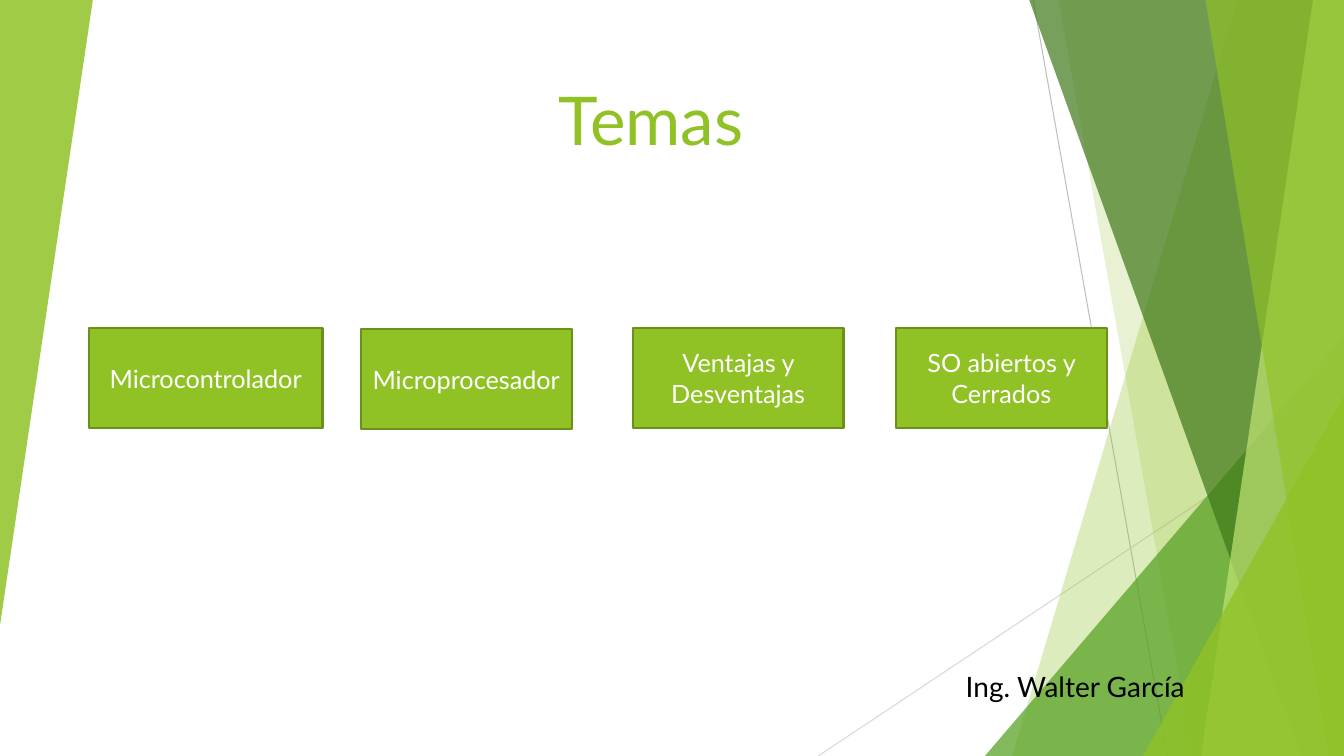
"""Build the "Temas" slide: green facets, a title, four topic boxes and an author."""
from dataclasses import dataclass

from lxml.etree import SubElement
from pptx import Presentation
from pptx.dml.color import RGBColor
from pptx.enum.shapes import MSO_CONNECTOR, MSO_SHAPE
from pptx.enum.text import MSO_ANCHOR, PP_ALIGN
from pptx.oxml.ns import qn
from pptx.shapes.autoshape import Shape
from pptx.slide import Slide
from pptx.text.text import TextFrame
from pptx.util import Pt

WIDTH, HEIGHT = 960, 540
FACET_TOP = -0.6
FONT = "Lato"
COLORS = {
    "lime": "90C226",
    "pale": "C0E474",
    "leaf": "54A021",
    "forest": "3F7819",
    "border": "6B901C",
    "gray": "BFBFBF",
    "silver": "D9D9D9",
    "white": "FFFFFF",
    "black": "000000",
}


@dataclass
class Ray:
    start: tuple[float, float]
    end: tuple[float, float]
    color: str


@dataclass
class Band:
    top_x: float
    bottom_x: float
    color: str
    opacity: int


@dataclass
class Corner:
    left: float
    top: float
    width: float
    height: float
    color: str
    opacity: int
    rotation: int = 0


@dataclass
class Topic:
    text: str
    left: float
    top: float = 234
    width: float = 150.5
    height: float = 72


RAYS = [
    Ray((738, 0), (834, HEIGHT), "gray"),
    Ray((WIDTH, 290), (584.5, HEIGHT), "silver"),
]
FACETS = [
    Band(884, 723, "lime", 30),
    Band(756, 852, "lime", 20),
    Corner(703.5, 240, 256.5, 300, "leaf", 72),
    Band(735, 929.5, "forest", 70),
    Band(938, 858, "pale", 70),
    Band(861, 949, "lime", 65),
    Corner(816.5, 283, 143.5, 257, "lime", 80),
    Corner(0, 0, 66.3, 446.5, "lime", 85, 180),
]
TOPICS = [
    Topic("Microcontrolador", 63.4, width=167),
    Topic("Microprocesador", 257.8, top=234.7),
    Topic("Ventajas y Desventajas", 452),
    Topic("SO abiertos y Cerrados", 640),
]


def rgb(name: str) -> RGBColor:
    return RGBColor.from_string(COLORS[name])


def paint(sp: Shape, color: str, opacity: int = 100) -> None:
    sp.shadow.inherit = False
    sp.fill.solid()
    sp.fill.fore_color.rgb = rgb(color)
    if opacity < 100:
        clr = sp.fill._xPr.find(qn("a:solidFill"))[0]
        SubElement(clr, qn("a:alpha")).set("val", str(opacity * 1000))


def write(tf: TextFrame, text: str, size: int, color: str,
          align: PP_ALIGN, anchor: MSO_ANCHOR) -> None:
    tf.word_wrap = True
    tf.vertical_anchor = anchor
    p = tf.paragraphs[0]
    p.alignment = align
    r = p.add_run()
    r.text = text
    r.font.name = FONT
    r.font.size = Pt(size)
    r.font.color.rgb = rgb(color)


def draw_ray(s: Slide, ray: Ray) -> None:
    points = [Pt(v) for v in (*ray.start, *ray.end)]
    line = s.shapes.add_connector(MSO_CONNECTOR.STRAIGHT, *points)
    line.line.color.rgb = rgb(ray.color)
    line.line.width = Pt(0.75)
    SubElement(line._element.spPr, qn("a:effectLst"))


def draw_facet(s: Slide, facet: Band | Corner) -> None:
    if isinstance(facet, Band):
        fb = s.shapes.build_freeform(Pt(facet.top_x), Pt(FACET_TOP))
        outline = [(WIDTH, FACET_TOP), (WIDTH, HEIGHT), (facet.bottom_x, HEIGHT)]
        fb.add_line_segments([(Pt(x), Pt(y)) for x, y in outline], close=True)
        sp = fb.convert_to_shape()
    else:
        sp = s.shapes.add_shape(MSO_SHAPE.ISOSCELES_TRIANGLE, Pt(facet.left),
                                Pt(facet.top), Pt(facet.width), Pt(facet.height))
        sp.adjustments[0] = 1
        sp.rotation = facet.rotation
    paint(sp, facet.color, facet.opacity)
    sp.line.fill.background()


def draw_topic(s: Slide, topic: Topic) -> None:
    sp = s.shapes.add_shape(MSO_SHAPE.RECTANGLE, Pt(topic.left), Pt(topic.top),
                            Pt(topic.width), Pt(topic.height))
    paint(sp, "lime")
    sp.line.color.rgb = rgb("border")
    sp.line.width = Pt(1.5)
    write(sp.text_frame, topic.text, 18, "white", PP_ALIGN.CENTER, MSO_ANCHOR.MIDDLE)


def main() -> None:
    prs = Presentation()
    prs.slide_width, prs.slide_height = Pt(WIDTH), Pt(HEIGHT)
    s = prs.slides.add_slide(prs.slide_layouts[6])
    for ray in RAYS:
        draw_ray(s, ray)
    for facet in FACETS:
        draw_facet(s, facet)
    title = s.shapes.add_textbox(Pt(175), Pt(51), Pt(580), Pt(66))
    write(title.text_frame, "Temas", 48, "lime", PP_ALIGN.CENTER, MSO_ANCHOR.BOTTOM)
    author = s.shapes.add_textbox(Pt(679), Pt(475), Pt(253.5), Pt(29))
    author.text_frame.margin_left = Pt(10.8)
    write(author.text_frame, "Ing. Walter García", 20, "black",
          PP_ALIGN.LEFT, MSO_ANCHOR.TOP)
    for topic in TOPICS:
        draw_topic(s, topic)
    prs.save("out.pptx")


if __name__ == "__main__":
    main()
